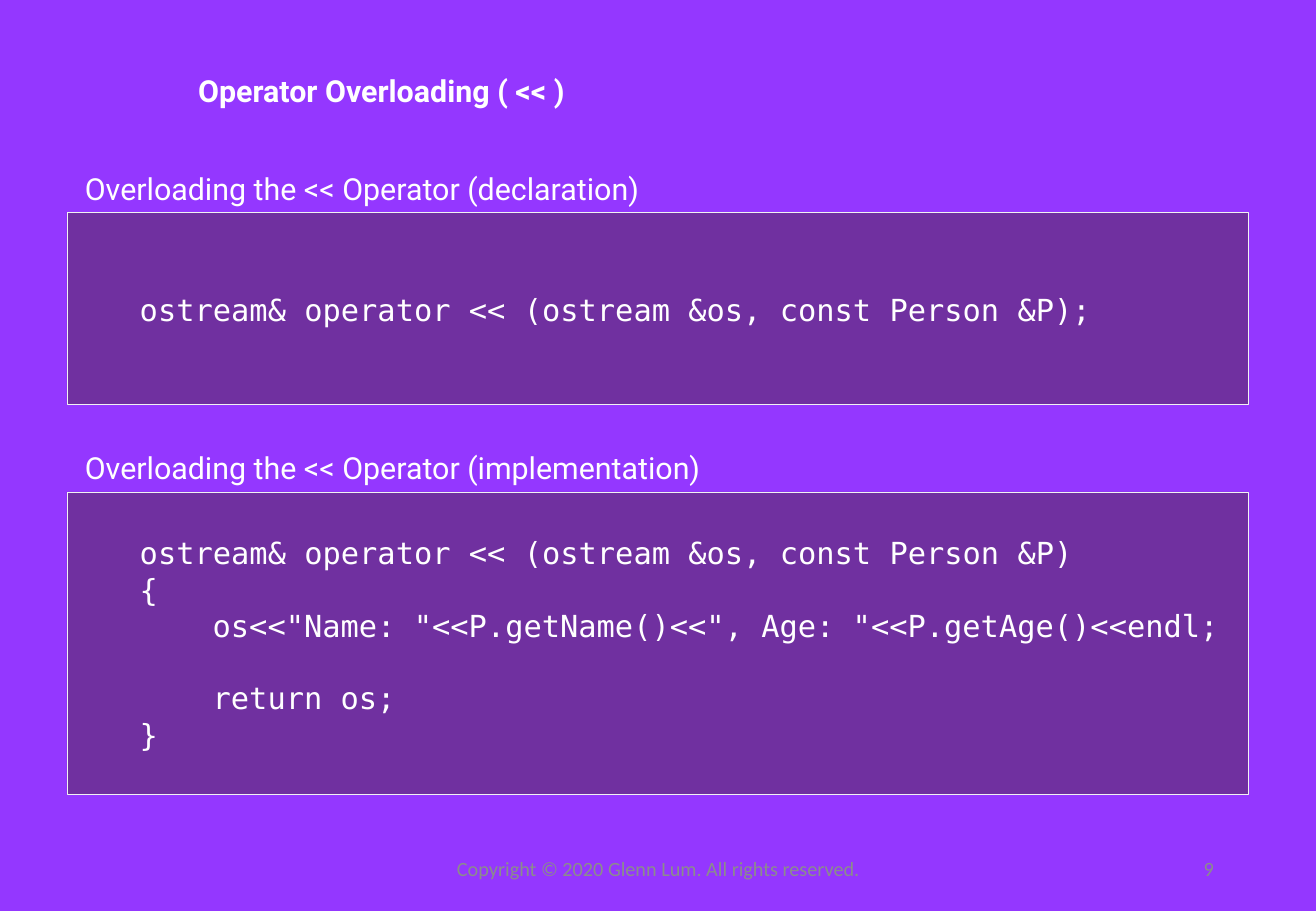
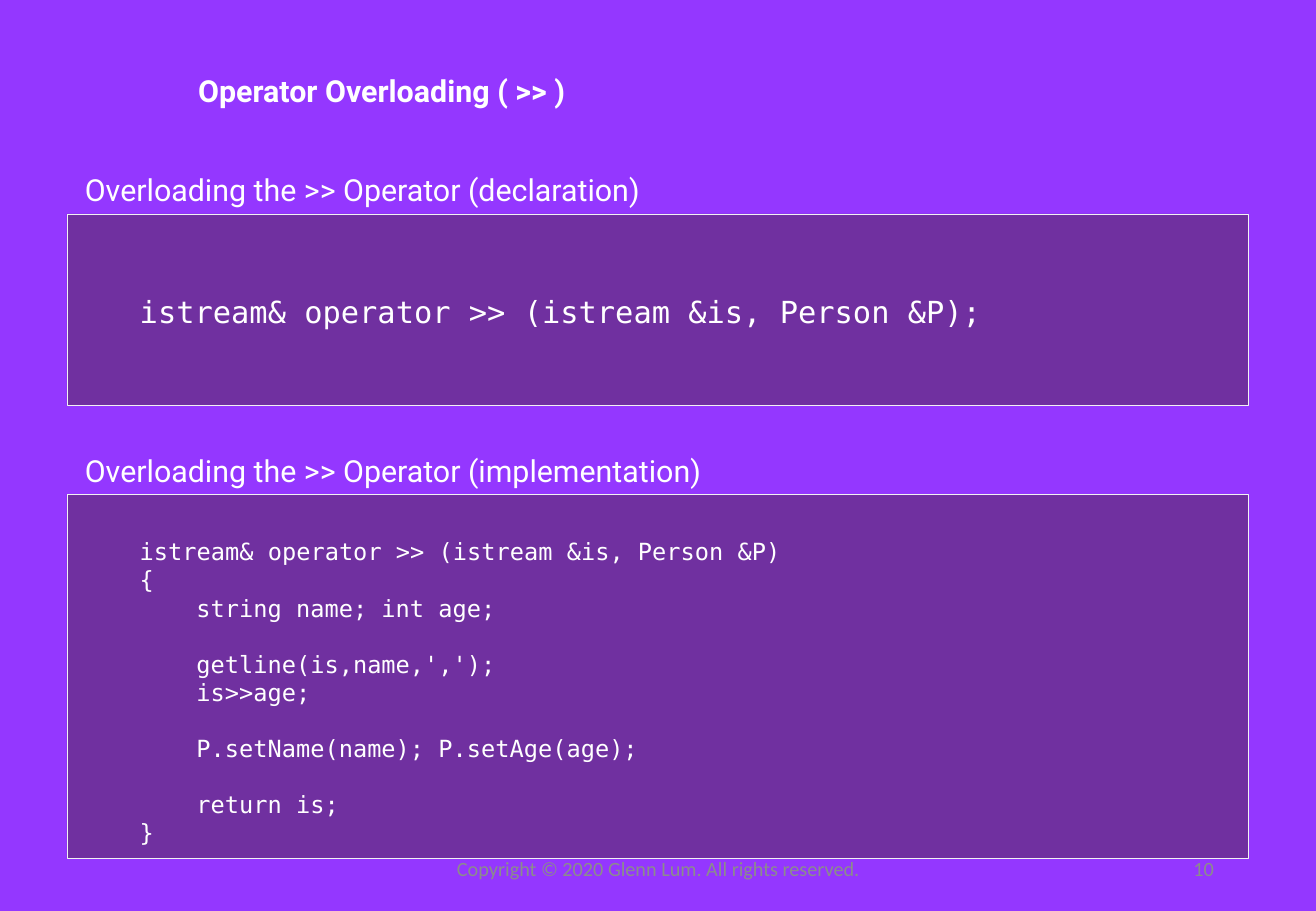
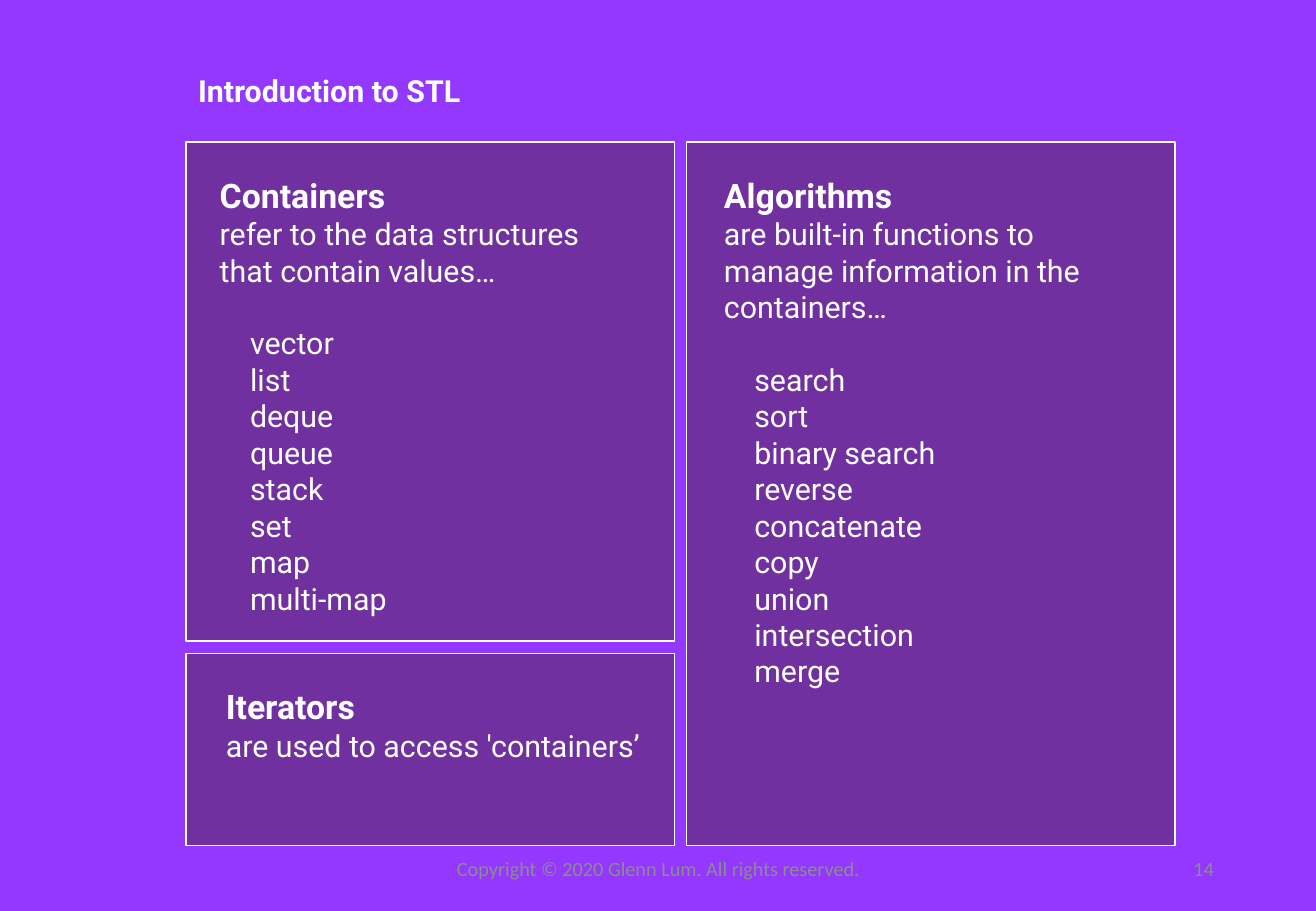
from copy import deepcopy

from pptx import Presentation
from pptx.dml.color import RGBColor
from pptx.enum.shapes import MSO_SHAPE
from pptx.enum.text import MSO_ANCHOR, PP_ALIGN
from pptx.util import Inches, Pt

# Shared look
COLORS = {"background": "9437FF", "panel": "7030A0", "edge": "F2F2F2",
          "text": "FFFFFF", "footer": "8C8C8C"}
TEXT_FONT, CODE_FONT, FOOTER_FONT = "Roboto", "DejaVu Sans Mono", "Calibri"
COPYRIGHT = "Copyright © 2020 Glenn Lum. All rights reserved."
WIDTH, HEIGHT = 10.83, 7.5
LINE = 0.4                              # height of a one-line text
TITLE, FOOTER, NUMBER = 0, 11, 12       # placeholder indexes of the layout
PLACES = {TITLE: (1.53, 0.54, 3.48, LINE),
          FOOTER: (3.59, 6.95, 3.66, LINE),
          NUMBER: (7.65, 6.95, 2.44, LINE)}

# Code slides: each block is (caption, top, height, lines above, size, code)
CODE_SLIDES = [
    ("Operator Overloading ( << )", 9, [
        ("Overloading the << Operator (declaration)", 1.75, 1.58, 2, 18,
         "ostream& operator << (ostream &os, const Person &P);"),
        ("Overloading the << Operator (implementation)", 4.05, 2.49, 1, 18,
         """ostream& operator << (ostream &os, const Person &P)
{
    os<<"Name: "<<P.getName()<<", Age: "<<P.getAge()<<endl;

    return os;
}"""),
    ]),
    ("Operator Overloading ( >> )", 10, [
        ("Overloading the >> Operator (declaration)", 1.76, 1.58, 2, 18,
         "istream& operator >> (istream &is, Person &P);"),
        ("Overloading the >> Operator (implementation)", 4.07, 3, 1, 14,
         """istream& operator >> (istream &is, Person &P)
{
    string name; int age;

    getline(is,name,',');
    is>>age;

    P.setName(name); P.setAge(age);

    return is;
}"""),
    ]),
]
CODE_LEFT, CODE_WIDTH, CAPTION_LEFT, CAPTION_WIDTH = 0.55, 9.72, 0.6, 5.49

# Library slide: each panel is (column, top, height, text inset, heading, description, items)
STL_TITLE, STL_NUMBER = "Introduction to STL", 14
STL_LEFT, STL_TOP, STL_WIDTH, STL_GAP = 1.53, 1.17, 4.02, 0.1
UPPER, LOWER = 4.11, 1.58
STL_PANELS = [
    (0, STL_TOP, UPPER, 0.18, "Containers",
     ["refer to the data structures", "that contain values…"],
     ["vector", "list", "deque", "queue", "stack", "set", "map", "multi-map"]),
    (0, STL_TOP + UPPER + STL_GAP, LOWER, 0.23, "Iterators",
     ["are used to access 'containers’"], []),
    (1, STL_TOP, UPPER + STL_GAP + LOWER, 0.21, "Algorithms",
     ["are built-in functions to manage information in the containers…"],
     ["search", "sort", "binary search", "reverse", "concatenate", "copy",
      "union", "intersection", "merge"]),
]


def color(key):
    return RGBColor.from_string(COLORS[key])


def style(paragraph, font=TEXT_FONT, size=18, ink="text", bold=False,
          align=PP_ALIGN.LEFT, indent=0, before=0):
    """Format a paragraph; indent and space before are in points."""
    paragraph.font.name, paragraph.font.size = font, Pt(size)
    paragraph.font.bold, paragraph.font.color.rgb = bold, color(ink)
    paragraph.alignment, paragraph.space_before = align, Pt(before)
    properties = paragraph._p.get_or_add_pPr()
    properties.set("marL", str(Pt(indent)))
    properties.set("indent", "0")


def write(frame, lines):
    """Fill a frame with (text, format) pairs, one paragraph each."""
    frame.word_wrap = True
    for i, (text, look) in enumerate(lines):
        paragraph = frame.add_paragraph() if i else frame.paragraphs[0]
        paragraph.text = text
        style(paragraph, **look)


def add_text(slide, place, lines):
    box = slide.shapes.add_textbox(*map(Inches, place))
    write(box.text_frame, lines)


def add_panel(slide, place, edge, weight):
    panel = slide.shapes.add_shape(MSO_SHAPE.RECTANGLE, *map(Inches, place))
    panel.shadow.inherit = False
    panel.fill.solid()
    panel.fill.fore_color.rgb = color("panel")
    panel.line.color.rgb, panel.line.width = color(edge), Pt(weight)
    return panel


def prepare_layout(prs):
    """Set the background and the places of title and footers once."""
    fill = prs.slide_master.background.fill
    fill.solid()
    fill.fore_color.rgb = color("background")
    layout = prs.slide_layouts[5]
    for holder in layout.placeholders:
        place = PLACES.get(holder.placeholder_format.idx)
        if place:
            holder.left, holder.top, holder.width, holder.height = map(Inches, place)
    return layout


def add_slide(prs, layout, title, number):
    slide = prs.slides.add_slide(layout)
    for holder in layout.placeholders:
        if holder.placeholder_format.idx in (FOOTER, NUMBER):
            slide.shapes._spTree.append(deepcopy(holder._element))
    small = dict(font=FOOTER_FONT, size=12, ink="footer")
    for idx, text, look, anchor in (
            (TITLE, title, dict(bold=True), MSO_ANCHOR.TOP),
            (FOOTER, COPYRIGHT, dict(small, align=PP_ALIGN.CENTER), MSO_ANCHOR.MIDDLE),
            (NUMBER, str(number), dict(small, align=PP_ALIGN.RIGHT), MSO_ANCHOR.MIDDLE)):
        frame = slide.placeholders[idx].text_frame
        frame.text = ""
        write(frame, [(text, look)])
        frame.vertical_anchor = anchor
    return slide


def code_lines(code, size):
    """Turn leading spaces into indents and empty lines into space before."""
    lines, before = [], 0
    for row in code.split("\n"):
        text = row.strip()
        if not text:
            before += size * 1.17
            continue
        indent = (len(row) - len(text)) * size * 0.6
        lines.append((text, dict(font=CODE_FONT, size=size, indent=indent, before=before)))
        before = 0
    return lines


def add_code_block(slide, caption, top, height, lines_above, size, code):
    panel = add_panel(slide, (CODE_LEFT, top, CODE_WIDTH, height), "edge", 0.25)
    frame = panel.text_frame
    frame.vertical_anchor = MSO_ANCHOR.TOP
    frame.margin_left = Inches(0.6)
    frame.margin_top = Inches(0.05 + 0.3 * lines_above)
    write(frame, code_lines(code, size))
    add_text(slide, (CAPTION_LEFT, top - LINE, CAPTION_WIDTH, LINE), [(caption, {})])


def add_stl_panel(slide, column, top, height, inset, heading, description, items):
    left = STL_LEFT + column * (STL_WIDTH + STL_GAP)
    add_panel(slide, (left, top, STL_WIDTH, height), "text", 1)
    lines = [(heading, dict(size=20, bold=True))]
    lines += [(text, {}) for text in description]
    lines += [(item, dict(indent=18, before=0 if i else 21.6))
              for i, item in enumerate(items)]
    add_text(slide, (left + inset, top + 0.22, 3.66, height - 0.34), lines)


def main():
    prs = Presentation()
    prs.slide_width, prs.slide_height = Inches(WIDTH), Inches(HEIGHT)
    layout = prepare_layout(prs)
    for title, number, blocks in CODE_SLIDES:
        slide = add_slide(prs, layout, title, number)
        for block in blocks:
            add_code_block(slide, *block)
    slide = add_slide(prs, layout, STL_TITLE, STL_NUMBER)
    for panel in STL_PANELS:
        add_stl_panel(slide, *panel)
    prs.save("out.pptx")


if __name__ == "__main__":
    main()
